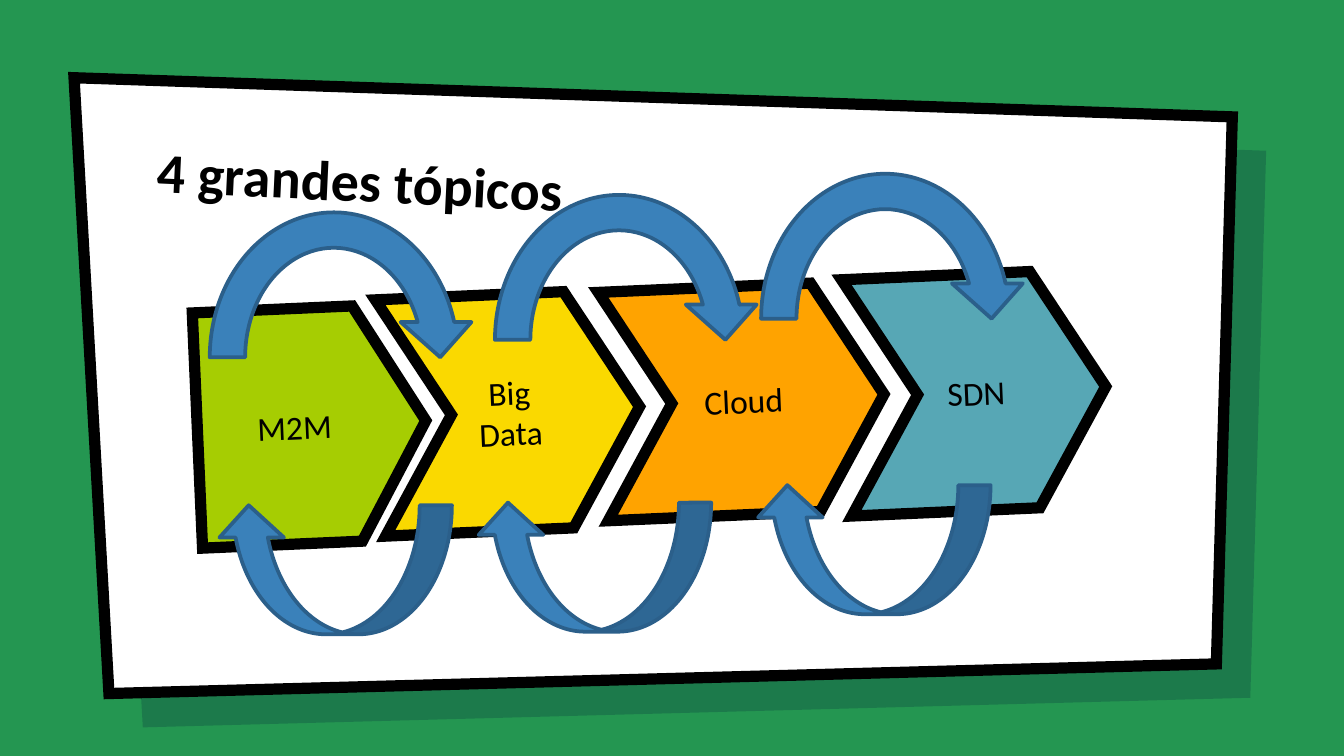
from lxml import etree
from pptx import Presentation
from pptx import util as u
from pptx.dml.color import RGBColor
from pptx.enum import shapes, text
from pptx.oxml import ns

COLORS = {
    "green": "249651", "shade": "001936", "white": "FFFFFF", "black": "000000",
    "lime": "A6CD02", "yellow": "FAD900", "orange": "FFA300", "teal": "57A7B5",
    "blue": "3A81BA", "navy": "2B5F8A",
}
FORM = shapes.MSO_SHAPE


def paint(shape, fill, line=None, width=0, miter=False):
    """Set fill and outline, without the theme's shadow."""
    shape.shadow.inherit = False
    shape.fill.solid()
    shape.fill.fore_color.rgb = RGBColor.from_string(COLORS[fill])
    if line is None:
        shape.line.fill.background()
        return
    shape.line.color.rgb = RGBColor.from_string(COLORS[line])
    shape.line.width = u.Pt(width)
    if miter:
        outline = shape.element.spPr.find(ns.qn("a:ln"))
        etree.SubElement(outline, ns.qn("a:miter"), lim="800000")


def write(shape, words, size, align, anchor, bold=False):
    """Put one formatted run into the shape's text frame."""
    frame = shape.text_frame
    frame.word_wrap = True
    frame.auto_size = text.MSO_AUTO_SIZE.NONE
    frame.vertical_anchor = anchor
    frame.margin_left = frame.margin_right = u.Cm(0.25)
    frame.margin_top = frame.margin_bottom = u.Cm(0.25)
    para = frame.paragraphs[0]
    para.alignment = align
    span = para.add_run()
    span.text = words
    span.font.name = "Calibri"
    span.font.size = u.Pt(size)
    span.font.bold = bold
    span.font.color.rgb = RGBColor.from_string(COLORS["black"])


deck = Presentation()
deck.slide_width, deck.slide_height = u.Cm(25.4), u.Cm(14.29)
page = deck.slides.add_slide(deck.slide_layouts[5])
page.background.fill.solid()
page.background.fill.fore_color.rgb = RGBColor.from_string(COLORS["green"])

# Slanted panel over its translucent shade
corners = [(1.4, 1.47), (23.29, 2.21), (22.99, 12.55), (2.06, 13.11)]
panels = []
for offset in (0.64, 0):
    points = [(u.Cm(x + offset), u.Cm(y + offset)) for x, y in corners]
    builder = page.shapes.build_freeform(*points[0])
    builder.add_line_segments(points[1:], close=True)
    panels.append(builder.convert_to_shape())
shade, panel = panels
paint(shade, "shade")
shade_color = shade.element.spPr.find(".//" + ns.qn("a:srgbClr"))
etree.SubElement(shade_color, ns.qn("a:alpha"), val="22000")
paint(panel, "white", "black", 6, miter=True)

# Title, raised above the panel
title = page.shapes.title
title.left, title.top = u.Cm(2.72), u.Cm(2.44)
title.width, title.height = u.Cm(19.53), u.Cm(2.11)
title.rotation = 2.7
write(title, "4 grandes tópicos", 30, text.PP_ALIGN.LEFT,
      text.MSO_ANCHOR.BOTTOM, bold=True)
panel.element.addnext(title.element)

# Four topics in a chain
topics = [
    ("M2M", FORM.PENTAGON, "lime", 3.73, 5.82, 4.32, 4.45),
    ("Big Data", FORM.CHEVRON, "yellow", 7.19, 5.56, 4.9, 4.47),
    ("Cloud", FORM.CHEVRON, "orange", 11.4, 5.41, 5.31, 4.32),
    ("SDN", FORM.CHEVRON, "teal", 16, 5.18, 4.9, 4.47),
]
for words, form, color, *place in topics:
    topic = page.shapes.add_shape(form, *[u.Cm(length) for length in place])
    topic.adjustments[0] = 0.3
    topic.rotation = 357.5
    paint(topic, color, "black", 6, miter=True)
    write(topic, words, 18, text.PP_ALIGN.CENTER, text.MSO_ANCHOR.MIDDLE)

# Arrows forward above the chain and back below it
arrow_rows = [
    (FORM.CIRCULAR_ARROW, 0, 5.36, 6.15,
     [(3.63, 3.68), (9.02, 3.35), (14.05, 2.95)]),
    (FORM.CURVED_DOWN_ARROW, 180, 4.45, 2.44,
     [(4.09, 9.55), (8.99, 9.5), (14.27, 9.17)]),
]
for form, turn, width, height, places in arrow_rows:
    for left, top in places:
        arrow = page.shapes.add_shape(
            form, u.Cm(left), u.Cm(top), u.Cm(width), u.Cm(height))
        arrow.rotation = turn
        paint(arrow, "blue", "navy", 2)

deck.save("out.pptx")
